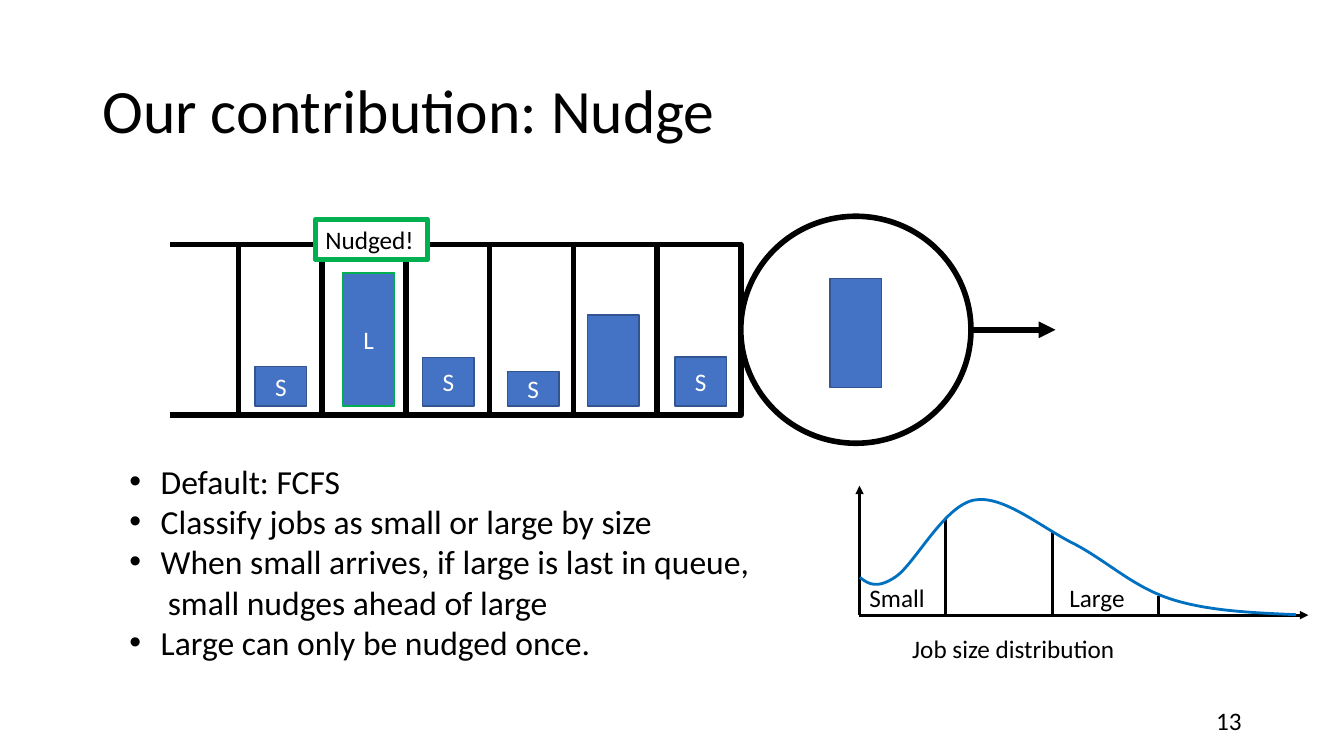
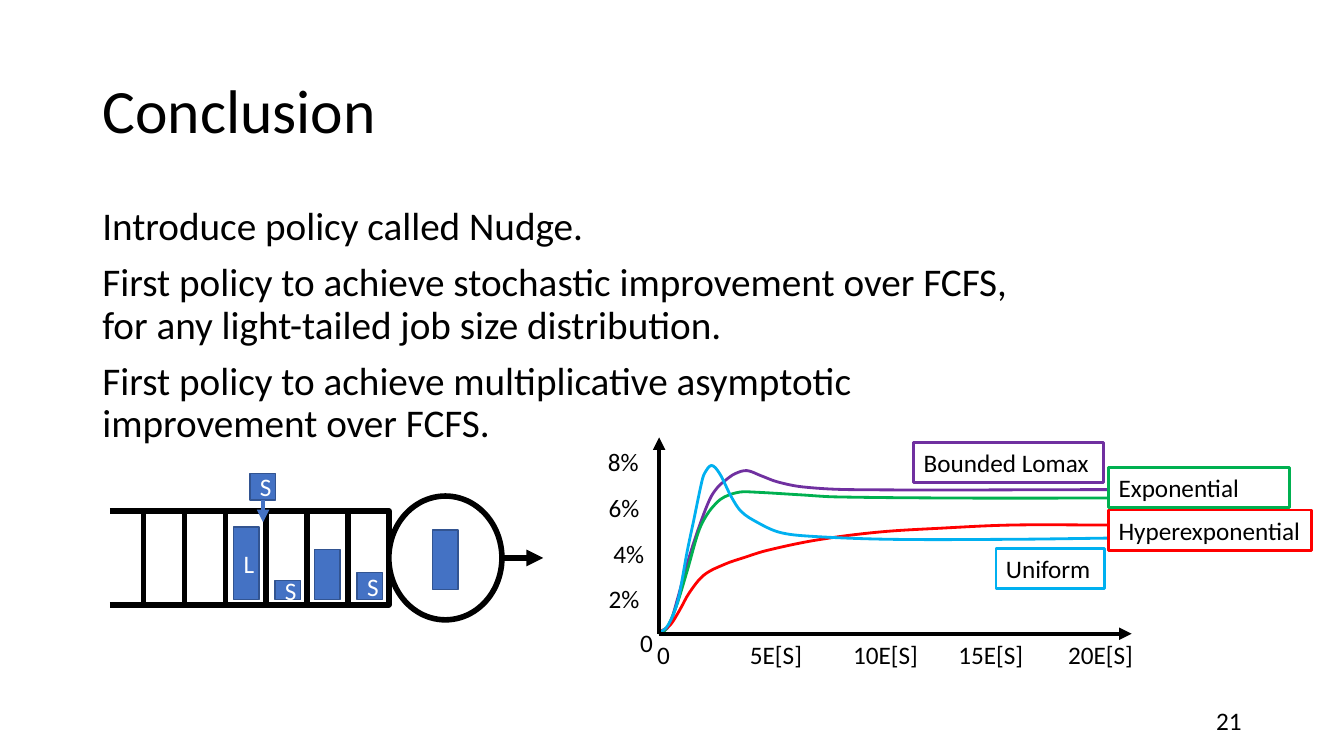
from dataclasses import dataclass

from pptx import Presentation
from pptx.dml.color import RGBColor
from pptx.enum import shapes, text
from pptx.oxml import xmlchemy
from pptx.oxml.ns import qn
from pptx.util import Cm, Pt

Point = tuple[float, float]


@dataclass(frozen=True)
class Theme:
    font: str = "Calibri"
    ink: str = "000000"
    paper: str = "FFFFFF"
    job: str = "4472C4"
    job_edge: str = "325491"
    green: str = "00B050"
    blue: str = "0070C0"
    purple: str = "7030A0"
    red: str = "FF0000"
    sky: str = "00B0F0"
    title: int = 44
    body: int = 28
    bullet: int = 24
    label: int = 18
    label_height: float = 1.02


THEME = Theme()
LEFT, CENTER, RIGHT = text.PP_ALIGN.LEFT, text.PP_ALIGN.CENTER, text.PP_ALIGN.RIGHT
TOP, MIDDLE = text.MSO_ANCHOR.TOP, text.MSO_ANCHOR.MIDDLE
RECT, OVAL = shapes.MSO_SHAPE.RECTANGLE, shapes.MSO_SHAPE.OVAL


@dataclass(frozen=True)
class Job:
    left: float
    height: float
    label: str = ""
    edge: str = THEME.job_edge


@dataclass(frozen=True)
class Queue:
    left: float
    top: float
    height: float
    first_cell: float
    cell: float
    server: Point
    exit_length: float
    job_width: float
    job_gap: float
    served_height: float
    jobs: tuple[Job, ...]
    cells: int = 6


@dataclass(frozen=True)
class Curve:
    color: str
    knots: tuple[Point, ...]


@dataclass(frozen=True)
class Legend:
    name: str
    color: str
    left: float
    top: float
    width: float


# Drawing helpers; every length is in centimetres
def color_of(value: str) -> RGBColor:
    return RGBColor.from_string(value)


def add_child(parent, tag: str, **attributes: str):
    child = xmlchemy.OxmlElement(tag)
    for key, value in attributes.items():
        child.set(key, value)
    parent.append(child)
    return child


def write(frame, content: str, *, size=THEME.label, color=THEME.ink, align=LEFT,
          anchor=TOP, spacing=None, before=0, wrap=True) -> None:
    """Fill a text frame, one paragraph for each line of content."""
    frame.word_wrap = wrap
    frame.auto_size = text.MSO_AUTO_SIZE.NONE
    frame.vertical_anchor = anchor
    for index, line in enumerate(content.split("\n")):
        paragraph = frame.add_paragraph() if index else frame.paragraphs[0]
        paragraph.alignment = align
        paragraph.space_before = Pt(before)
        if spacing:
            paragraph.line_spacing = spacing
        run = paragraph.add_run()
        run.text = line
        run.font.name, run.font.size = THEME.font, Pt(size)
        run.font.color.rgb = color_of(color)


def add_label(slide, content: str, left: float, top: float, width: float,
              height: float = THEME.label_height, **style):
    box = slide.shapes.add_textbox(Cm(left), Cm(top), Cm(width), Cm(height))
    write(box.text_frame, content, **style)
    return box


def add_box(slide, left: float, top: float, width: float, height: float, *,
            kind=RECT, fill: str | None = THEME.paper, edge=THEME.ink, edge_width=4.0):
    box = slide.shapes.add_shape(kind, Cm(left), Cm(top), Cm(width), Cm(height))
    box.shadow.inherit = False
    if fill:
        box.fill.solid()
        box.fill.fore_color.rgb = color_of(fill)
    else:
        box.fill.background()
    box.line.color.rgb, box.line.width = color_of(edge), Pt(edge_width)
    return box


def add_line(slide, start: Point, end: Point, *, width=4.0, color=THEME.ink, arrow=False) -> None:
    line = slide.shapes.add_connector(
        shapes.MSO_CONNECTOR.STRAIGHT, *(Cm(value) for value in start + end))
    line.line.color.rgb, line.line.width = color_of(color), Pt(width)
    if arrow:
        add_child(line.line._get_or_add_ln(), "a:tailEnd", type="triangle")
    add_child(line._element.spPr, "a:effectLst")


def add_axes(slide, origin: Point, right: float, top: float, width: float) -> None:
    add_line(slide, origin, (right, origin[1]), width=width, arrow=True)
    add_line(slide, origin, (origin[0], top), width=width, arrow=True)


def smooth(knots: tuple[Point, ...]) -> list[Point]:
    """Bézier points of a smooth curve through the knots."""
    last = len(knots) - 1
    slopes = []
    for i in range(last + 1):
        (x0, y0), (x1, y1) = knots[max(i - 1, 0)], knots[min(i + 1, last)]
        slopes.append((y1 - y0) / (x1 - x0))
    points = [knots[0]]
    for i in range(last):
        (x0, y0), (x1, y1) = knots[i], knots[i + 1]
        third = (x1 - x0) / 3
        points += [(x0 + third, y0 + slopes[i] * third),
                   (x1 - third, y1 - slopes[i + 1] * third), (x1, y1)]
    return points


def add_curve(slide, color: str, bezier: list[Point]) -> None:
    points = [(Cm(x), Cm(y)) for x, y in bezier]
    builder = slide.shapes.build_freeform(*points[0])
    builder.add_line_segments(points[1:], close=False)
    outline = builder.convert_to_shape()
    outline.shadow.inherit = False
    outline.fill.background()
    outline.line.color.rgb, outline.line.width = color_of(color), Pt(2)
    # Join each three points into one cubic segment
    track = outline._element.find(".//" + qn("a:path"))
    corners = track.findall(qn("a:lnTo"))
    for start in range(0, len(corners), 3):
        cubic = add_child(track, "a:cubicBezTo")
        for corner in corners[start:start + 3]:
            cubic.append(corner[0])
            track.remove(corner)


def add_job(slide, job: Job, bottom: float, width: float) -> None:
    block = add_box(slide, job.left, bottom - job.height, width, job.height,
                    fill=THEME.job, edge=job.edge, edge_width=1)
    if job.label:
        write(block.text_frame, job.label, color=THEME.paper, align=CENTER, anchor=MIDDLE)


def add_queue(slide, queue: Queue) -> None:
    bottom, middle = queue.top + queue.height, queue.top + queue.height / 2
    end = queue.first_cell + queue.cells * queue.cell
    for rail in (queue.top, bottom):
        add_line(slide, (queue.left, rail), (end, rail))
    for index in range(queue.cells):
        add_box(slide, queue.first_cell + index * queue.cell, queue.top, queue.cell, queue.height)
    for job in queue.jobs:
        add_job(slide, job, bottom - queue.job_gap, queue.job_width)
    # Server, the job in service and the way out
    width, height = queue.server
    add_box(slide, end, middle - height / 2, width, height, kind=OVAL)
    served = Job(end + (width - queue.job_width) / 2, queue.served_height)
    add_job(slide, served, middle + served.height / 2 + 0.02 * queue.height, queue.job_width)
    add_line(slide, (end + width, middle), (end + width + queue.exit_length, middle), arrow=True)


def new_slide(deck, title: str, number: int):
    slide = deck.slides.add_slide(deck.slide_layouts[5])
    heading = slide.shapes.title
    heading.left, heading.top, heading.width, heading.height = map(Cm, (2.33, 1.02, 29.21, 3.68))
    write(heading.text_frame, title, size=THEME.title, anchor=MIDDLE, spacing=0.9)
    add_label(slide, str(number), 23.92, 17.65, 7.62, align=RIGHT, anchor=MIDDLE)
    return slide


def set_indent(paragraph, margin: float, bullet: bool) -> None:
    properties = paragraph._p.get_or_add_pPr()
    properties.set("marL", str(Cm(margin)))
    properties.set("indent", str(-Cm(margin) if bullet else 0))
    if bullet:
        add_child(properties, "a:buFont", typeface="Arial")
        add_child(properties, "a:buChar", char="•")


def set_tabs(paragraph, stops: tuple[float, ...]) -> None:
    tabs = add_child(paragraph._p.get_or_add_pPr(), "a:tabLst")
    for stop in stops:
        add_child(tabs, "a:tab", pos=str(Cm(stop)), algn="l")


# Slide: the Nudge policy
NUDGE_QUEUE = Queue(
    left=4.28, top=6.16, height=4.3, first_cell=6.01, cell=2.11, server=(5.8, 5.72),
    exit_length=2.13, job_width=1.3, job_gap=0.23, served_height=2.74,
    jobs=(Job(6.43, 0.99, "S"), Job(8.64, 3.35, "L", THEME.green), Job(10.65, 1.22, "S"),
          Job(12.79, 0.87, "S"), Job(14.81, 2.29), Job(17.01, 1.23, "S")))
JOB_SIZES = [
    (21.67, 14.55), (21.87, 14.71), (22.1, 14.86), (22.58, 14.53), (23.06, 14.2), (23.8, 12.73),
    (24.56, 12.6), (25.3, 12.47), (26.26, 13.31), (27.1, 13.72), (27.91, 14.15), (28.55, 14.78),
    (29.49, 15.09), (30.4, 15.39), (31.52, 15.44), (32.66, 15.49)]
POLICY = """Default: FCFS
Classify jobs as small or large by size
When small arrives, if large is last in queue,
small nudges ahead of large
Large can only be nudged once."""


def build_nudge(deck) -> None:
    slide = new_slide(deck, "Our contribution: Nudge", 13)
    add_queue(slide, NUDGE_QUEUE)
    nudged = add_box(slide, 7.95, 5.53, 2.82, THEME.label_height, edge=THEME.green, edge_width=3.5)
    write(nudged.text_frame, "Nudged!", wrap=False)

    policy = add_label(slide, POLICY, 3.01, 11.48, 16.26, 5.38, size=THEME.bullet)
    for paragraph in policy.text_frame.paragraphs:
        continued = paragraph.text.startswith("small")
        set_indent(paragraph, 0.97 if continued else 0.79, not continued)

    # Job size distribution
    origin = (21.66, 15.5)
    for x, top in ((23.83, 13.06), (26.53, 13.41), (29.19, 15.01)):
        add_line(slide, (x, top), (x, origin[1]), width=2)
    add_axes(slide, origin, 32.97, 12.24, 2)
    add_curve(slide, THEME.blue, JOB_SIZES)
    add_label(slide, "Small", 21.66, 14.55, 2.18)
    add_label(slide, "Large", 26.7, 14.55, 2.18)
    add_label(slide, "Job size distribution", 22.74, 15.83, 5.74)


# Slide: conclusion
SMALL_QUEUE = Queue(
    left=2.77, top=12.88, height=2.36, first_cell=3.62, cell=1.03, server=(2.85, 3.12),
    exit_length=1.04, job_width=0.64, job_gap=0.13, served_height=1.5,
    jobs=(Job(5.89, 1.83, "L"), Job(6.93, 0.48, "S"), Job(7.93, 1.26), Job(9, 0.68, "S")))
IMPROVEMENTS = (
    Curve(THEME.purple, (
        (16.64, 15.95), (16.87, 15.75), (17.09, 15.04), (17.3, 14.27), (17.58, 13.39),
        (17.88, 12.6), (18.08, 12.29), (18.29, 12.1), (18.52, 11.94), (18.82, 11.86),
        (19.18, 11.99), (19.58, 12.14), (20.22, 12.27), (21.46, 12.34), (27.91, 12.34))),
    Curve(THEME.green, (
        (16.59, 15.95), (16.79, 15.85), (17.04, 15.29), (17.32, 14.38), (17.6, 13.41),
        (17.81, 12.98), (18.06, 12.67), (18.26, 12.52), (18.64, 12.4), (19, 12.4),
        (20.19, 12.47), (21.03, 12.52), (24.18, 12.55), (27.91, 12.55))),
    Curve(THEME.red, (
        (16.61, 15.93), (16.89, 15.75), (17.12, 15.39), (17.37, 14.94), (17.73, 14.5),
        (18.26, 14.22), (18.75, 14.05), (19.33, 13.87), (20.57, 13.61), (22.12, 13.41),
        (23.7, 13.31), (25.5, 13.23), (27.94, 13.23))),
    Curve(THEME.sky, (
        (16.61, 15.95), (16.84, 15.75), (17.09, 15.11), (17.32, 13.89), (17.48, 13.13),
        (17.68, 12.17), (17.75, 11.94), (17.93, 11.73), (18.14, 11.94), (18.42, 12.5),
        (18.67, 12.88), (19.08, 13.16), (19.63, 13.41), (20.37, 13.51), (22.4, 13.59),
        (25.55, 13.59), (27.94, 13.56))))
LEGENDS = (
    Legend("Bounded Lomax", THEME.purple, 23.03, 11.15, 4.78),
    Legend("Exponential", THEME.green, 27.94, 11.78, 4.55),
    Legend("Hyperexponential", THEME.red, 27.94, 12.85, 5.11),
    Legend("Uniform", THEME.sky, 25.1, 13.82, 2.74))
FINDINGS = """Introduce policy called Nudge.
First policy to achieve stochastic improvement over FCFS, for any light-tailed job size distribution.
First policy to achieve multiplicative asymptotic improvement over FCFS."""


def build_conclusion(deck) -> None:
    slide = new_slide(deck, "Conclusion", 21)
    add_label(slide, FINDINGS, 2.33, 5.08, 23.45, 12.09, size=THEME.body, spacing=0.9, before=10)

    # Queue with an arriving small job
    add_queue(slide, SMALL_QUEUE)
    add_job(slide, Job(6.3, 0.66, "S"), 12.6, SMALL_QUEUE.job_width)
    add_line(slide, (6.63, 12.6), (6.63, 13.16), width=3, color=THEME.job, arrow=True)

    # Improvement over FCFS
    add_label(slide, "0", 15.88, 15.69, 0.8, wrap=False)
    for index, (percent, left) in enumerate(
            (("8%", 15.07), ("6%", 15.09), ("4%", 15.21), ("2%", 15.09))):
        add_label(slide, percent, left, 11.13 + 1.15 * index, 1.4, wrap=False)
    ticks = add_label(slide, "0\t5E[S]\t10E[S]\t15E[S]\t20E[S]", 16.31, 15.98, 12.6)
    set_tabs(ticks.text_frame.paragraphs[0], (2.34, 4.94, 7.59, 10.36))
    for curve in IMPROVEMENTS:
        add_curve(slide, curve.color, smooth(curve.knots))
    for legend in LEGENDS:
        frame = add_box(slide, legend.left, legend.top, legend.width, THEME.label_height,
                        fill=None, edge=legend.color, edge_width=2)
        write(frame.text_frame, legend.name, wrap=False)
    add_axes(slide, (16.61, 15.97), 28.52, 11.02, 3)


def main() -> None:
    deck = Presentation()
    deck.slide_width, deck.slide_height = Cm(33.87), Cm(19.05)
    build_nudge(deck)
    build_conclusion(deck)
    deck.save("out.pptx")


if __name__ == "__main__":
    main()
